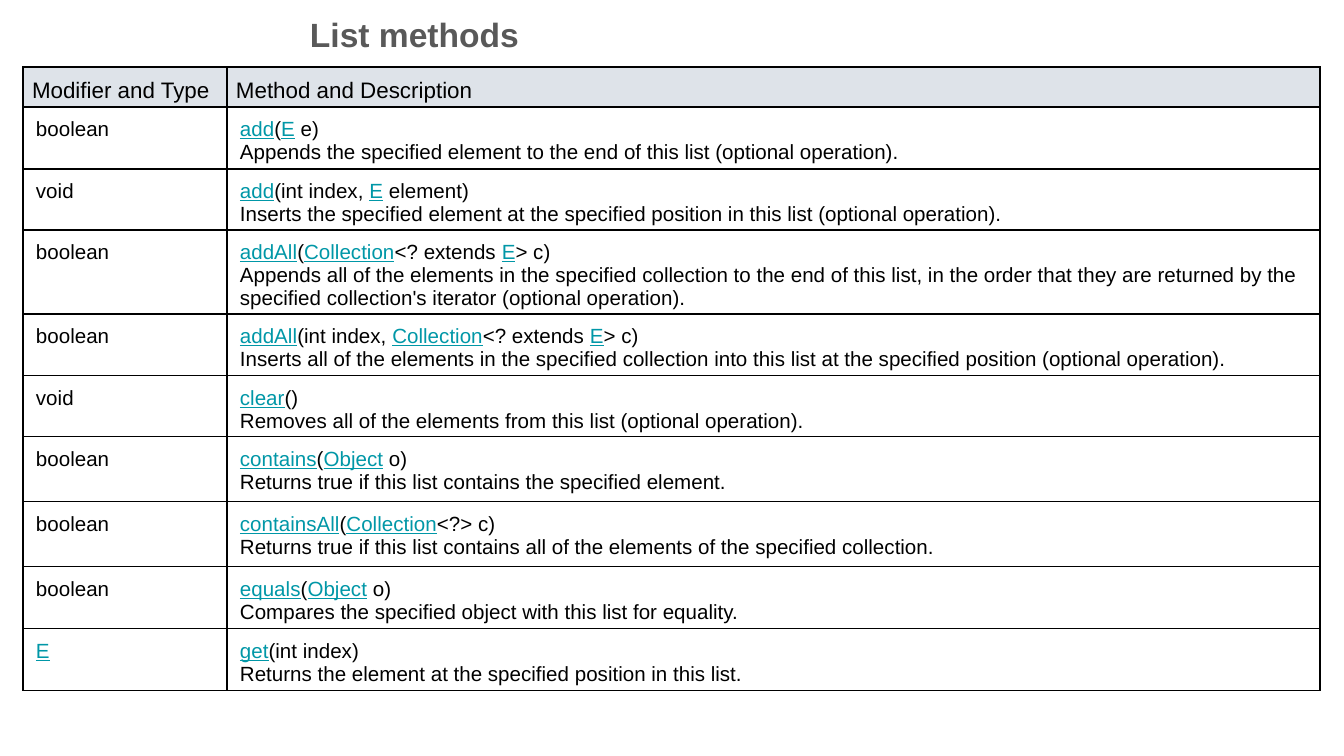
from lxml import etree
from pptx import Presentation
from pptx import util as u
from pptx.dml.color import RGBColor
from pptx.oxml import ns

BLACK = RGBColor(0x00, 0x00, 0x00)
GREY = RGBColor(0x59, 0x59, 0x59)
TEAL = RGBColor(0x00, 0x97, 0xA7)
HEADER_FILL = RGBColor(0xDE, 0xE3, 0xE9)
FONT = "Arial"
EMU_PER_PX = 914400 / 134.4

COLUMN_WIDTHS = [204, 1093]
HEADER = ["Modifier and Type", "Method and Description"]
HEADER_HEIGHT = 40
# Row height, type, signature, description; [brackets] mark linked names.
METHODS = [
    (62, "boolean", "[add]([E] e)",
     "Appends the specified element to the end of this list (optional operation)."),
    (61, "void", "[add](int index, [E] element)",
     "Inserts the specified element at the specified position in this list "
     "(optional operation)."),
    (84, "boolean", "[addAll]([Collection]<? extends [E]> c)",
     "Appends all of the elements in the specified collection to the end of this list, "
     "in the order that they are returned by the specified collection's iterator "
     "(optional operation)."),
    (62, "boolean", "[addAll](int index, [Collection]<? extends [E]> c)",
     "Inserts all of the elements in the specified collection into this list at the "
     "specified position (optional operation)."),
    (61, "void", "[clear]()",
     "Removes all of the elements from this list (optional operation)."),
    (65, "boolean", "[contains]([Object] o)",
     "Returns true if this list contains the specified element."),
    (65, "boolean", "[containsAll]([Collection]<?> c)",
     "Returns true if this list contains all of the elements of the specified collection."),
    (62, "boolean", "[equals]([Object] o)",
     "Compares the specified object with this list for equality."),
    (62, "[E]", "[get](int index)",
     "Returns the element at the specified position in this list."),
]


def px(length):
    return u.Emu(round(length * EMU_PER_PX))


def set_font(para, size, color, bold=False):
    para.font.name = FONT
    para.font.size = u.Pt(size)
    para.font.bold = bold
    para.font.color.rgb = color


def add_spans(para, marked_text):
    """Add runs, with the bracketed parts styled as links."""
    for index, part in enumerate(marked_text.replace("]", "[").split("[")):
        if not part:
            continue
        span = para.add_run()
        span.text = part
        if index % 2:
            span.font.color.rgb = TEAL
            span.font.underline = True


def add_borders(cell):
    properties = cell._tc.get_or_add_tcPr()
    for side in ("lnL", "lnR", "lnT", "lnB"):
        line = etree.SubElement(properties, ns.qn(f"a:{side}"), w=str(u.Pt(0.75)))
        fill = etree.SubElement(line, ns.qn("a:solidFill"))
        etree.SubElement(fill, ns.qn("a:srgbClr"), val=str(BLACK))


def fill_cell(cell, lines, size, side_margin, fill=None):
    add_borders(cell)
    if fill is None:
        cell.fill.background()
    else:
        cell.fill.solid()
        cell.fill.fore_color.rgb = fill
    cell.margin_left = px(side_margin)
    cell.margin_right = px(4 if fill else side_margin)
    cell.margin_top, cell.margin_bottom = px(11), px(4)
    frame = cell.text_frame
    for index, line in enumerate(lines):
        para = frame.add_paragraph() if index else frame.paragraphs[0]
        set_font(para, size, BLACK)
        add_spans(para, line)


def add_method_table(slide):
    heights = [HEADER_HEIGHT] + [method[0] for method in METHODS]
    table = slide.shapes.add_table(
        len(heights), len(COLUMN_WIDTHS), px(23), px(67),
        px(sum(COLUMN_WIDTHS)), px(sum(heights))).table
    table.first_row = table.horz_banding = False
    for column, width in zip(table.columns, COLUMN_WIDTHS):
        column.width = px(width)
    for row, height in zip(table.rows, heights):
        row.height = px(height)
    for column, heading in enumerate(HEADER):
        fill_cell(table.cell(0, column), [heading], 12, 9, HEADER_FILL)
    for row, (_, kind, signature, description) in enumerate(METHODS, 1):
        fill_cell(table.cell(row, 0), [kind], 11, 13)
        fill_cell(table.cell(row, 1), [signature, description], 11, 13)


def add_title(slide, title):
    box = slide.shapes.add_textbox(px(297), px(1), px(581), px(58))
    frame = box.text_frame
    frame.word_wrap = True
    frame.margin_left = frame.margin_right = px(13)
    frame.margin_top = frame.margin_bottom = px(13)
    para = frame.paragraphs[0]
    para.text = title
    set_font(para, 18, GREY, bold=True)


def main():
    deck = Presentation()
    deck.slide_width, deck.slide_height = px(1344), px(756)
    slide = deck.slides.add_slide(deck.slide_layouts[6])
    add_method_table(slide)
    add_title(slide, "List methods")
    deck.save("out.pptx")


if __name__ == "__main__":
    main()
